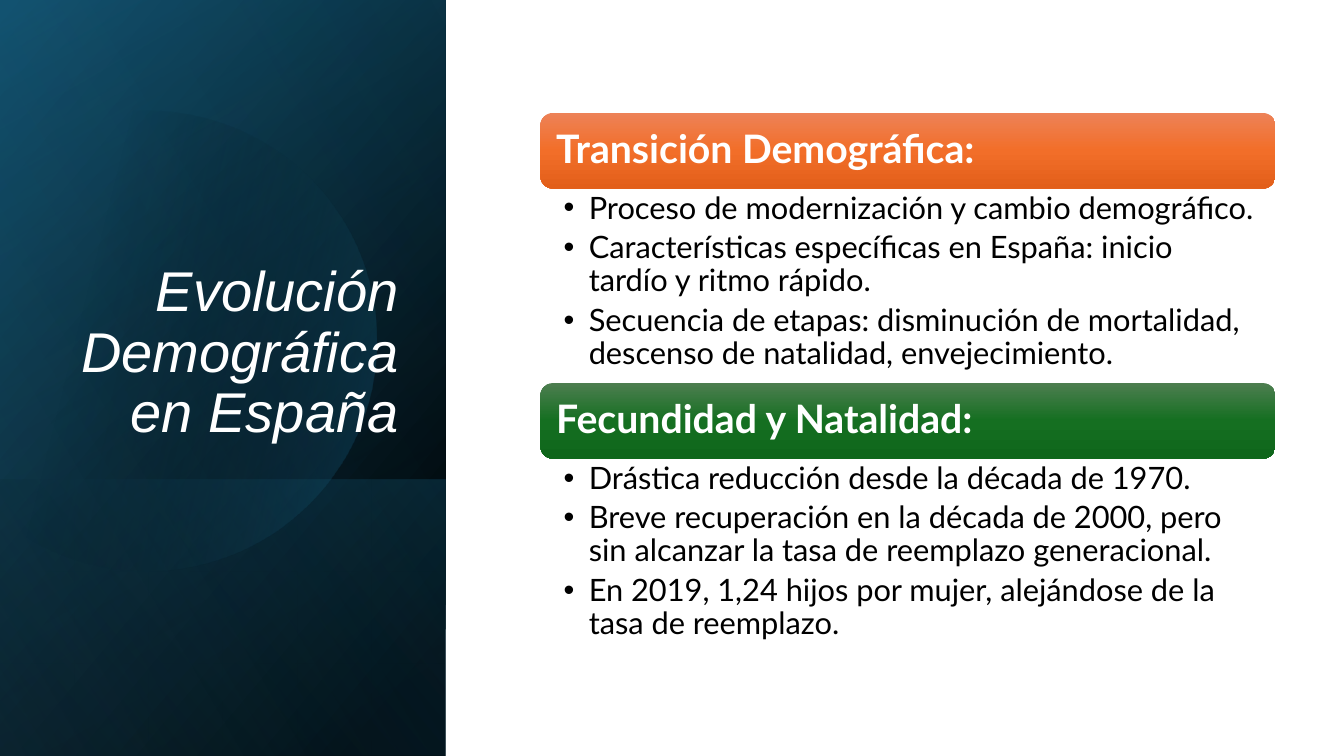
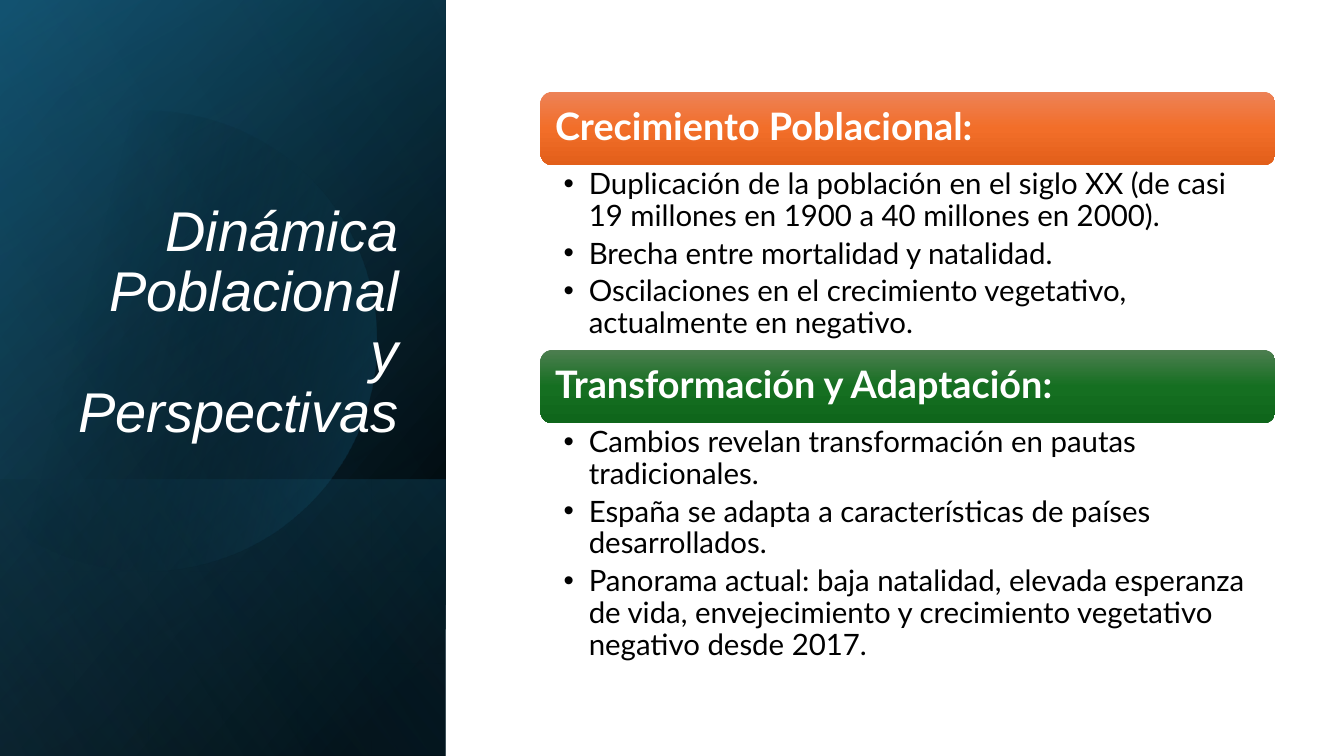
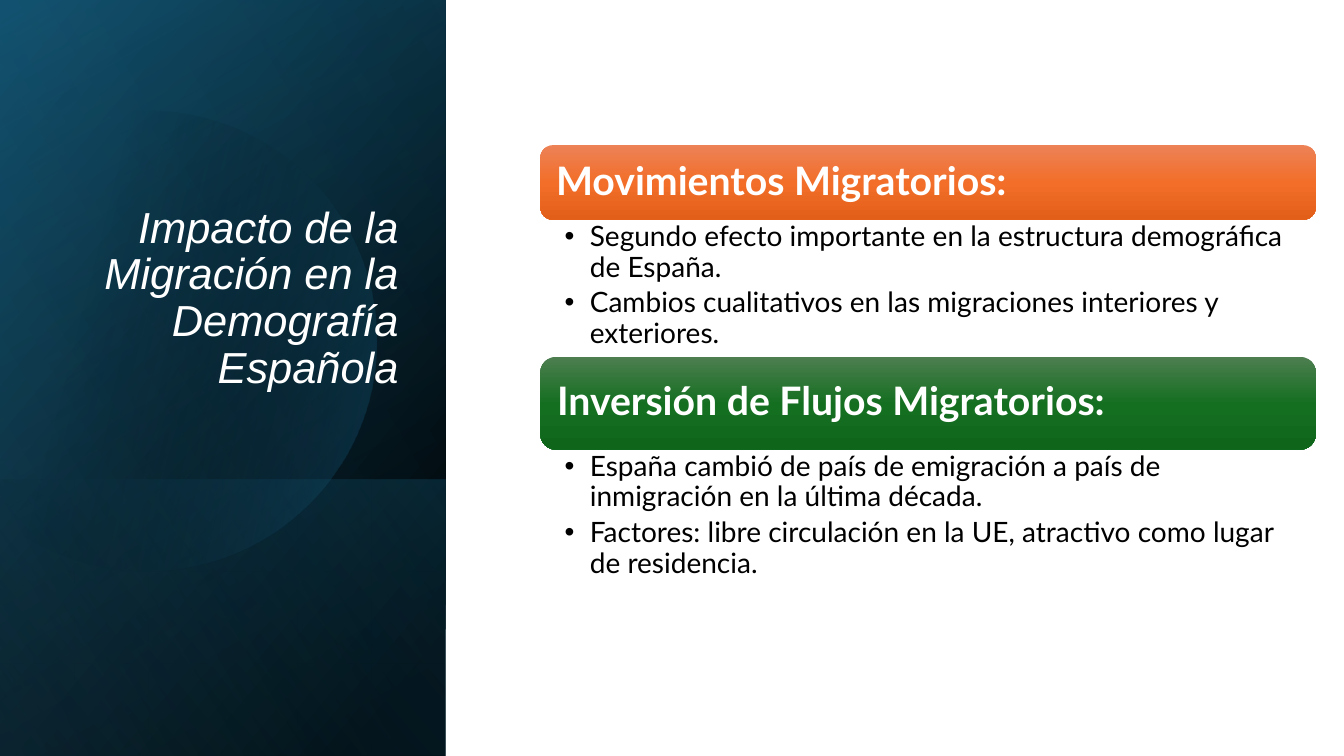
from dataclasses import dataclass
from math import cos, radians, sin

from lxml import etree
from pptx import Presentation, util as u
from pptx.dml.color import RGBColor
from pptx.enum import shapes, text
from pptx.oxml.ns import qn

TITLE_FONT, BODY_FONT, BULLET_FONT = "Arial", "Lato", "Arial"
WHITE, BLACK = "FFFFFF", "000000"
PANEL_WIDTH, PANEL_HEIGHT = 4.42, 7.5
SECTION_LEFT = 5.36
BULLET_INDENT = 0.25


@dataclass(frozen=True)
class Stop:
    position: int
    color: str
    alpha: int = 100


@dataclass(frozen=True)
class Gradient:
    angle: int
    stops: tuple[Stop, ...]


@dataclass(frozen=True)
class PanelLayer:
    top: float
    height: float
    gradient: Gradient


@dataclass(frozen=True)
class Section:
    heading: str
    bullets: tuple[str, ...]
    heading_height: float
    body_height: float


@dataclass(frozen=True)
class Topic:
    title: str
    title_size: int
    heading_size: int
    bullet_size: int
    top: float
    sections: tuple[Section, ...]
    width: float = 7.29
    heading_inset: float = 0.12
    body_insets: tuple[float, float, float] = (0.23, 0.04, 0.2)
    title_bottom_inset: float = 0.05


BASE_LAYERS = (
    PanelLayer(0, PANEL_HEIGHT, Gradient(50, (Stop(8, BLACK), Stop(100, "104862")))),
    PanelLayer(0, PANEL_HEIGHT, Gradient(30, (Stop(0, BLACK, 0), Stop(99, "156082", 46)))),
    PanelLayer(4.76, 2.74, Gradient(130, (Stop(2, "156082", 29), Stop(100, BLACK, 30)))),
)
DISC_GRADIENT = Gradient(14, (Stop(29, BLACK, 0), Stop(100, "156082", 43)))
TOP_LAYER = PanelLayer(
    0, PANEL_HEIGHT, Gradient(120, (Stop(0, BLACK, 0), Stop(99, "46B1E1", 11))))
HEADING_GRADIENTS = (
    Gradient(90, (Stop(0, "ED8257"), Stop(50, "F26E29"), Stop(100, "E25F1A"))),
    Gradient(90, (Stop(0, "4D7E50"), Stop(50, "156F21"), Stop(100, "0F661B"))),
)

TOPICS = (
    Topic("Evolución Demográfica en España", 40, 28, 22, 1.12, (
        Section("Transición Demográfica:", (
            "Proceso de modernización y cambio demográfico.",
            "Características específicas en España: inicio tardío y ritmo rápido.",
            "Secuencia de etapas: disminución de mortalidad, descenso de natalidad, "
            "envejecimiento.",
        ), 0.75, 1.93),
        Section("Fecundidad y Natalidad:", (
            "Drástica reducción desde la década de 1970.",
            "Breve recuperación en la década de 2000, pero sin alcanzar la tasa de "
            "reemplazo generacional.",
            "En 2019, 1,24 hijos por mujer, alejándose de la tasa de reemplazo.",
        ), 0.75, 1.93),
    )),
    Topic("Dinámica Poblacional y Perspectivas", 40, 27, 21, 0.91, (
        Section("Crecimiento Poblacional:", (
            "Duplicación de la población en el siglo XX (de casi 19 millones en 1900 "
            "a 40 millones en 2000).",
            "Brecha entre mortalidad y natalidad.",
            "Oscilaciones en el crecimiento vegetativo, actualmente en negativo.",
        ), 0.73, 1.83),
        Section("Transformación y Adaptación:", (
            "Cambios revelan transformación en pautas tradicionales.",
            "España se adapta a características de países desarrollados.",
            "Panorama actual: baja natalidad, elevada esperanza de vida, envejecimiento "
            "y crecimiento vegetativo negativo desde 2017.",
        ), 0.73, 2.51),
    ), heading_inset=0.11, body_insets=(0.23, 0.04, 0.21)),
    Topic("Impacto de la Migración en la Demografía Española", 31, 28, 20, 1.44, (
        Section("Movimientos Migratorios:", (
            "Segundo efecto importante en la estructura demográfica de España.",
            "Cambios cualitativos en las migraciones interiores y exteriores.",
        ), 0.74, 1.36),
        Section("Inversión de Flujos Migratorios:", (
            "España cambió de país de emigración a país de inmigración en la última "
            "década.",
            "Factores: libre circulación en la UE, atractivo como lugar de residencia.",
        ), 0.92, 1.36),
    ), width=7.69, body_insets=(0.24, 0.03, 0.16), title_bottom_inset=0.56),
)


def rgb(color: str) -> RGBColor:
    return RGBColor.from_string(color)


def set_values(target, values: dict) -> None:
    for name, value in values.items():
        setattr(target, name, value)


def fill_gradient(shape, gradient: Gradient) -> None:
    shape.shadow.inherit = False
    shape.line.fill.background()
    shape.fill.background()
    properties = shape._element.spPr
    fill = etree.Element(qn("a:gradFill"), rotWithShape="1")
    stop_list = etree.SubElement(fill, qn("a:gsLst"))
    for stop in gradient.stops:
        entry = etree.SubElement(stop_list, qn("a:gs"), pos=str(stop.position * 1000))
        color = etree.SubElement(entry, qn("a:srgbClr"), val=stop.color)
        if stop.alpha < 100:
            etree.SubElement(color, qn("a:alpha"), val=str(stop.alpha * 1000))
    etree.SubElement(fill, qn("a:lin"), ang=str(gradient.angle * 60000), scaled="0")
    properties.replace(properties.find(qn("a:noFill")), fill)


def set_frame(frame, insets: tuple[float, float, float, float], anchor) -> None:
    left, top, right, bottom = map(u.Inches, insets)
    set_values(frame, {
        "word_wrap": True, "auto_size": text.MSO_AUTO_SIZE.NONE,
        "vertical_anchor": anchor, "margin_left": left, "margin_top": top,
        "margin_right": right, "margin_bottom": bottom,
    })


def write(paragraph, content: str, font: dict, color: str, space_after: float = 0,
          alignment=text.PP_ALIGN.LEFT) -> None:
    set_values(paragraph, {"alignment": alignment, "line_spacing": 0.9,
                           "space_after": u.Pt(space_after)})
    run = paragraph.add_run()
    run.text = content
    set_values(run.font, font)
    run.font.color.rgb = rgb(color)


def add_bullet(paragraph) -> None:
    properties = paragraph._p.get_or_add_pPr()
    indent = u.Inches(BULLET_INDENT)
    properties.set("marL", str(indent))
    properties.set("indent", str(-indent))
    etree.SubElement(properties, qn("a:buFont"), typeface=BULLET_FONT)
    etree.SubElement(properties, qn("a:buChar"), char="•")


def draw_layer(slide, layer: PanelLayer) -> None:
    left = (PANEL_WIDTH - layer.height) / 2
    top = layer.top + (layer.height - PANEL_WIDTH) / 2
    shape = slide.shapes.add_shape(
        shapes.MSO_SHAPE.RECTANGLE, u.Inches(left), u.Inches(top),
        u.Inches(layer.height), u.Inches(PANEL_WIDTH))
    shape.rotation = 90
    shape._element.spPr.find(qn("a:xfrm")).set("flipH", "1")
    fill_gradient(shape, layer.gradient)


def draw_disc(slide) -> None:
    center_x, center_y, radius = 1.45, 3.38, 2.28
    points = [(u.Inches(center_x + radius * cos(radians(angle))),
               u.Inches(center_y + radius * sin(radians(angle))))
              for angle in range(-135, 136, 3)]
    builder = slide.shapes.build_freeform(*points[0])
    builder.add_line_segments(points[1:], close=True)
    fill_gradient(builder.convert_to_shape(), DISC_GRADIENT)


def draw_panel(slide) -> None:
    for layer in BASE_LAYERS:
        draw_layer(slide, layer)
    draw_disc(slide)
    draw_layer(slide, TOP_LAYER)


def draw_title(slide, topic: Topic) -> None:
    box = slide.shapes.add_textbox(
        u.Inches(0.64), u.Inches(1.84), u.Inches(3.41), u.Inches(2.62))
    set_frame(box.text_frame, (0.1, 0.05, 0.1, topic.title_bottom_inset),
              text.MSO_ANCHOR.BOTTOM)
    font = {"name": TITLE_FONT, "size": u.Pt(topic.title_size), "italic": True}
    write(box.text_frame.paragraphs[0], topic.title, font, WHITE,
          alignment=text.PP_ALIGN.RIGHT)


def draw_section(slide, topic: Topic, section: Section, gradient: Gradient,
                 top: float) -> None:
    left, width = u.Inches(SECTION_LEFT), u.Inches(topic.width)
    heading = slide.shapes.add_shape(
        shapes.MSO_SHAPE.ROUNDED_RECTANGLE, left, u.Inches(top), width,
        u.Inches(section.heading_height))
    fill_gradient(heading, gradient)
    inset = topic.heading_inset
    set_frame(heading.text_frame, (inset, inset, inset, inset), text.MSO_ANCHOR.MIDDLE)
    font = {"name": BODY_FONT, "size": u.Pt(topic.heading_size), "bold": True}
    write(heading.text_frame.paragraphs[0], section.heading, font, WHITE,
          topic.heading_size * 0.35)

    body = slide.shapes.add_textbox(
        left, u.Inches(top + section.heading_height), width,
        u.Inches(section.body_height))
    frame = body.text_frame
    inset_left, inset_top, inset_right = topic.body_insets
    set_frame(frame, (inset_left, inset_top, inset_right, inset_top),
              text.MSO_ANCHOR.TOP)
    font = {"name": BODY_FONT, "size": u.Pt(topic.bullet_size)}
    for index, bullet in enumerate(section.bullets):
        paragraph = frame.add_paragraph() if index else frame.paragraphs[0]
        add_bullet(paragraph)
        write(paragraph, bullet, font, BLACK, topic.bullet_size * 0.2)


def draw_topic(presentation, topic: Topic) -> None:
    slide = presentation.slides.add_slide(presentation.slide_layouts[6])
    draw_panel(slide)
    draw_title(slide, topic)
    top = topic.top
    for section, gradient in zip(topic.sections, HEADING_GRADIENTS):
        draw_section(slide, topic, section, gradient, top)
        top += section.heading_height + section.body_height


def main() -> None:
    presentation = Presentation()
    presentation.slide_width = u.Inches(13.33)
    presentation.slide_height = u.Inches(PANEL_HEIGHT)
    for topic in TOPICS:
        draw_topic(presentation, topic)
    presentation.save("out.pptx")


if __name__ == "__main__":
    main()
